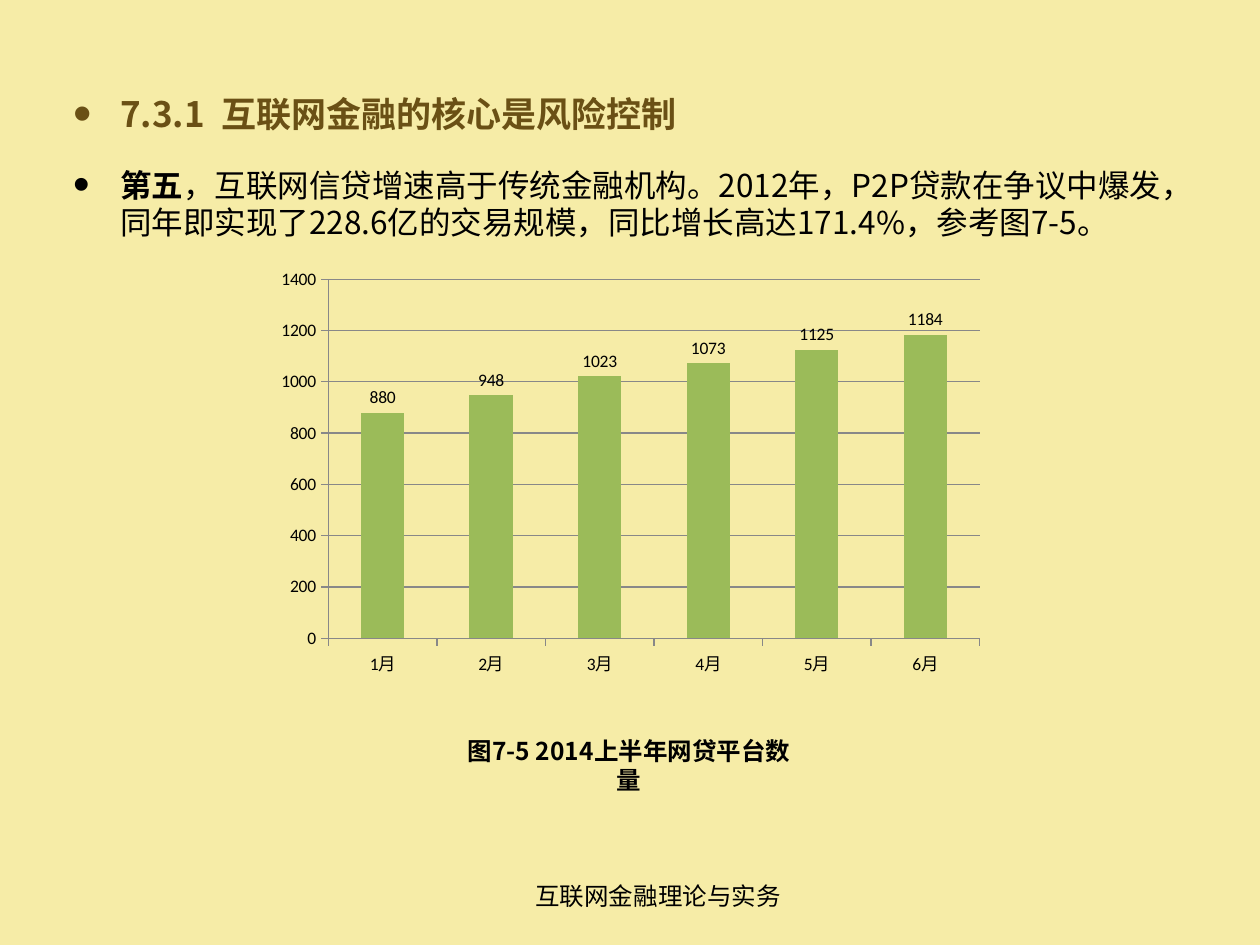
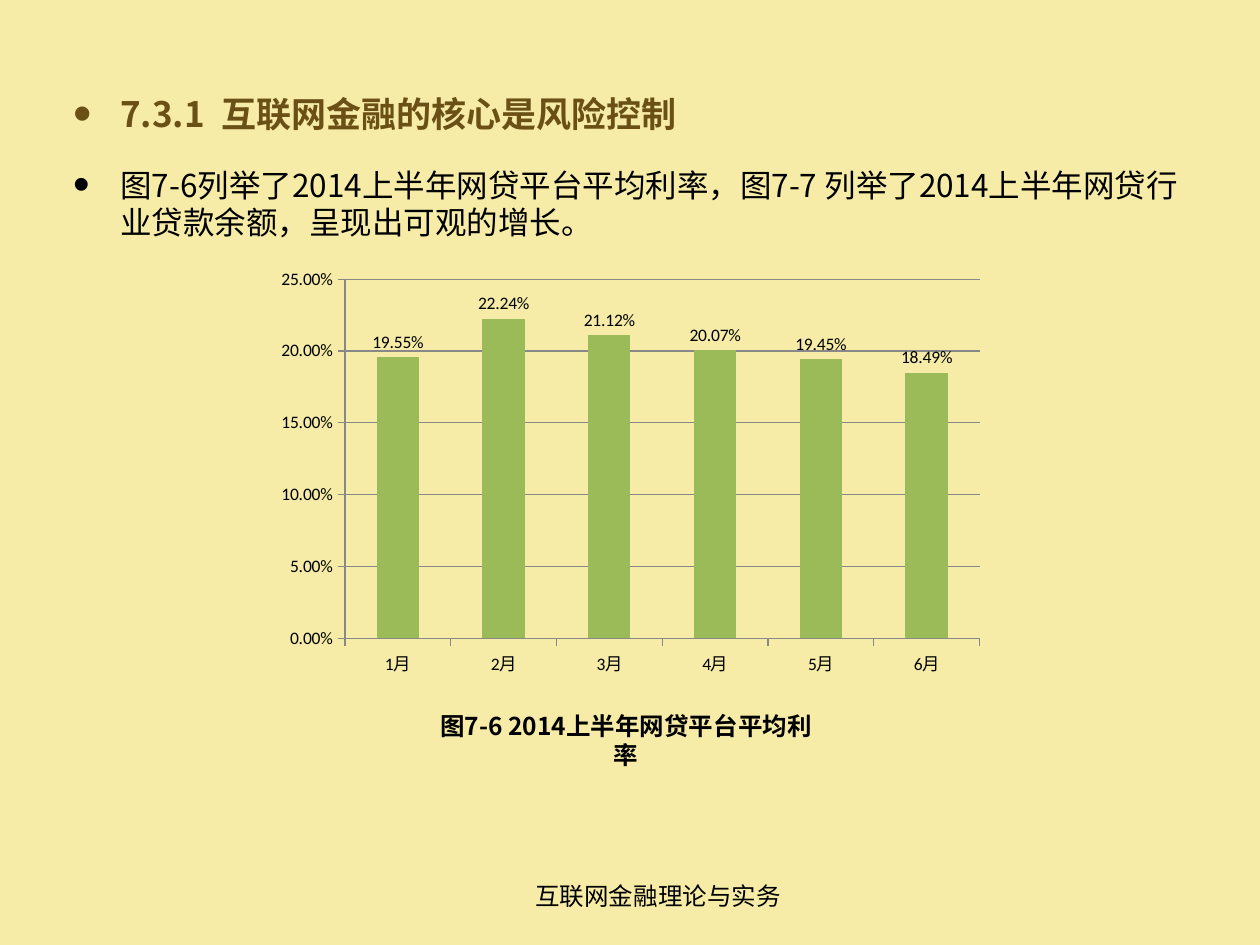
from dataclasses import dataclass

from lxml.etree import SubElement
from pptx import Presentation
from pptx.chart.data import CategoryChartData
from pptx.dml.color import RGBColor
from pptx.enum.chart import XL_CHART_TYPE as ChartType
from pptx.enum.chart import XL_LABEL_POSITION as LabelPosition
from pptx.enum.chart import XL_TICK_MARK as TickMark
from pptx.enum.text import MSO_ANCHOR as Anchor
from pptx.enum.text import MSO_AUTO_SIZE as AutoSize
from pptx.enum.text import PP_ALIGN as Align
from pptx.oxml.ns import qn
from pptx.util import Cm, Pt


@dataclass(frozen=True)
class Theme:
    background: RGBColor = RGBColor(0xF6, 0xEC, 0xA7)
    heading: RGBColor = RGBColor(0x6A, 0x50, 0x15)
    text: RGBColor = RGBColor(0, 0, 0)
    bar: RGBColor = RGBColor(0x9B, 0xBB, 0x59)
    rule: RGBColor = RGBColor(0x88, 0x88, 0x88)
    text_font: str = "Noto Sans CJK SC"
    chart_font: str = "Calibri"
    heading_size: Pt = Pt(20)
    body_size: Pt = Pt(18)
    caption_size: Pt = Pt(14)
    chart_size: Pt = Pt(10)
    rule_width: Pt = Pt(0.75)


THEME = Theme()
HEADING = "7.3.1  互联网金融的核心是风险控制"
FOOTER = "互联网金融理论与实务"
MONTHS = [f"{month}月" for month in range(1, 7)]


def format_run(run, size, color=THEME.text, bold=False):
    run.font.name = THEME.text_font
    run.font.size = size
    run.font.bold = bold
    run.font.color.rgb = color
    SubElement(run.font._element, qn("a:ea"), typeface=THEME.text_font)


def format_bullet(paragraph):
    """Hanging indent, space above and a bullet larger than the text."""
    paragraph.space_before = Pt(18)
    properties = paragraph._p.get_or_add_pPr()
    properties.set("marL", str(Cm(0.95)))
    properties.set("indent", str(-Cm(0.95)))
    SubElement(properties, qn("a:buSzPct"), val="150000")
    SubElement(properties, qn("a:buFont"), typeface="Arial")
    SubElement(properties, qn("a:buChar"), char="•")


def add_body(slide, height, statement, lead=""):
    """Fill the body with the section heading and a statement with a bold lead."""
    body = slide.placeholders[1]
    body.left, body.top = Cm(1.22), Cm(1.73)
    body.width, body.height = Cm(22.86), height
    frame = body.text_frame
    frame.auto_size = AutoSize.NONE
    frame.vertical_anchor = Anchor.TOP

    frame.text = HEADING
    heading = frame.paragraphs[0]
    format_bullet(heading)
    format_run(heading.runs[0], THEME.heading_size, THEME.heading, bold=True)

    point = frame.add_paragraph()
    format_bullet(point)
    for words, bold in ((lead, True), (statement, False)):
        if words:
            run = point.add_run()
            run.text = words
            format_run(run, THEME.body_size, bold=bold)


def add_centred_text(slide, words, left, top, width, bold=False):
    frame = slide.shapes.add_textbox(left, top, width, Cm(0.86)).text_frame
    frame.word_wrap = True
    frame.text = words
    paragraph = frame.paragraphs[0]
    paragraph.alignment = Align.CENTER
    format_run(paragraph.runs[0], THEME.caption_size, bold=bold)


def format_chart_font(font):
    font.name = THEME.chart_font
    font.size = THEME.chart_size
    font.color.rgb = THEME.text


def format_rule(line):
    line.color.rgb = THEME.rule
    line.width = THEME.rule_width


def add_monthly_columns(slide, measure, values, top_value, step, number_format):
    data = CategoryChartData(number_format=number_format)
    data.categories = MONTHS
    data.add_series(measure, values)
    chart = slide.shapes.add_chart(
        ChartType.COLUMN_CLUSTERED, Cm(5.38), Cm(5.26), Cm(14.66), Cm(8.53), data
    ).chart
    chart.has_title = False
    chart.has_legend = False
    format_chart_font(chart.font)

    for axis in (chart.category_axis, chart.value_axis):
        axis.major_tick_mark = TickMark.OUTSIDE
        axis.minor_tick_mark = TickMark.NONE
        format_chart_font(axis.tick_labels.font)
        format_rule(axis.format.line)

    scale = chart.value_axis
    scale.minimum_scale, scale.maximum_scale = 0, top_value
    scale.major_unit = step
    scale.has_major_gridlines = True
    format_rule(scale.major_gridlines.format.line)
    scale.tick_labels.number_format = number_format
    scale.tick_labels.number_format_is_linked = False

    plot = chart.plots[0]
    plot.gap_width = 150
    plot.vary_by_categories = False
    columns = plot.series[0]
    columns.format.fill.solid()
    columns.format.fill.fore_color.rgb = THEME.bar
    labels = columns.data_labels
    labels.show_value = True
    labels.position = LabelPosition.OUTSIDE_END
    labels.number_format = number_format
    labels.number_format_is_linked = False
    format_chart_font(labels.font)


def add_slide(deck):
    """Add a slide with the shared footer and no separate title."""
    slide = deck.slides.add_slide(deck.slide_layouts[1])
    title = slide.shapes.title._element
    title.getparent().remove(title)
    add_centred_text(slide, FOOTER, Cm(7.77), Cm(17.63), Cm(11))
    return slide


def add_platform_count_slide(deck):
    slide = add_slide(deck)
    add_body(
        slide,
        Cm(3.99),
        "，互联网信贷增速高于传统金融机构。2012年，P2P贷款在争议中爆发，"
        "同年即实现了228.6亿的交易规模，同比增长高达171.4%，参考图7-5。",
        lead="第五",
    )
    add_monthly_columns(
        slide, "网贷平台数量", [880, 948, 1023, 1073, 1125, 1184], 1400, 200, "General"
    )
    add_centred_text(
        slide, "图7-5 2014上半年网贷平台数量", Cm(8.94), Cm(14.71), Cm(7.49), bold=True
    )


def add_interest_rate_slide(deck):
    slide = add_slide(deck)
    add_body(
        slide,
        Cm(15.93),
        "图7-6列举了2014上半年网贷平台平均利率，图7-7 列举了2014上半年"
        "网贷行业贷款余额，呈现出可观的增长。",
    )
    rates = [0.1955, 0.2224, 0.2112, 0.2007, 0.1945, 0.1849]
    add_monthly_columns(slide, "平均利率", rates, 0.25, 0.05, "0.00%")
    add_centred_text(
        slide, "图7-6 2014上半年网贷平台平均利率", Cm(8.38), Cm(14.2), Cm(8.48), bold=True
    )


def main():
    deck = Presentation()
    deck.slide_width, deck.slide_height = Cm(25.4), Cm(19.05)
    backdrop = deck.slide_master.background.fill
    backdrop.solid()
    backdrop.fore_color.rgb = THEME.background
    add_platform_count_slide(deck)
    add_interest_rate_slide(deck)
    deck.save("out.pptx")


if __name__ == "__main__":
    main()
